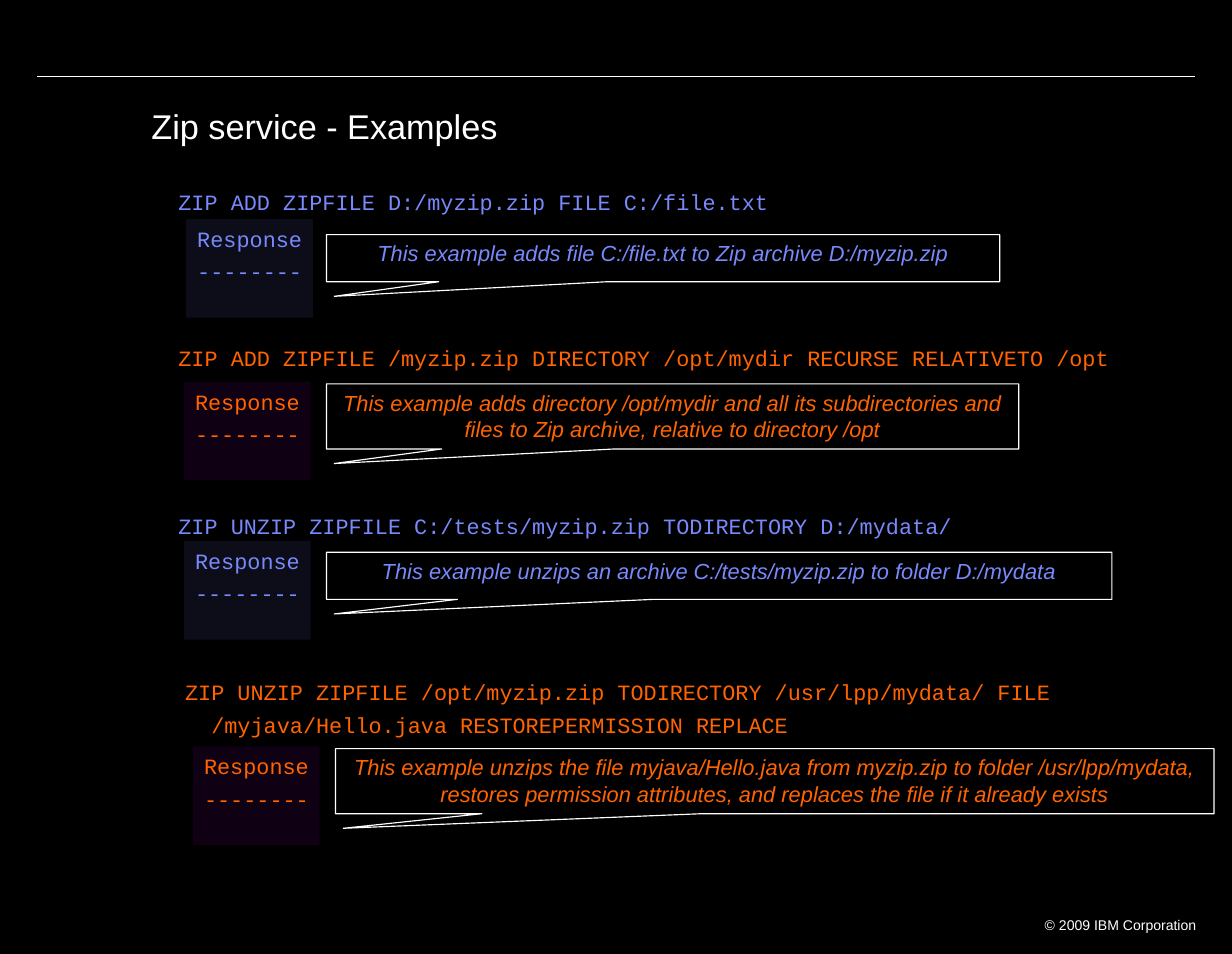
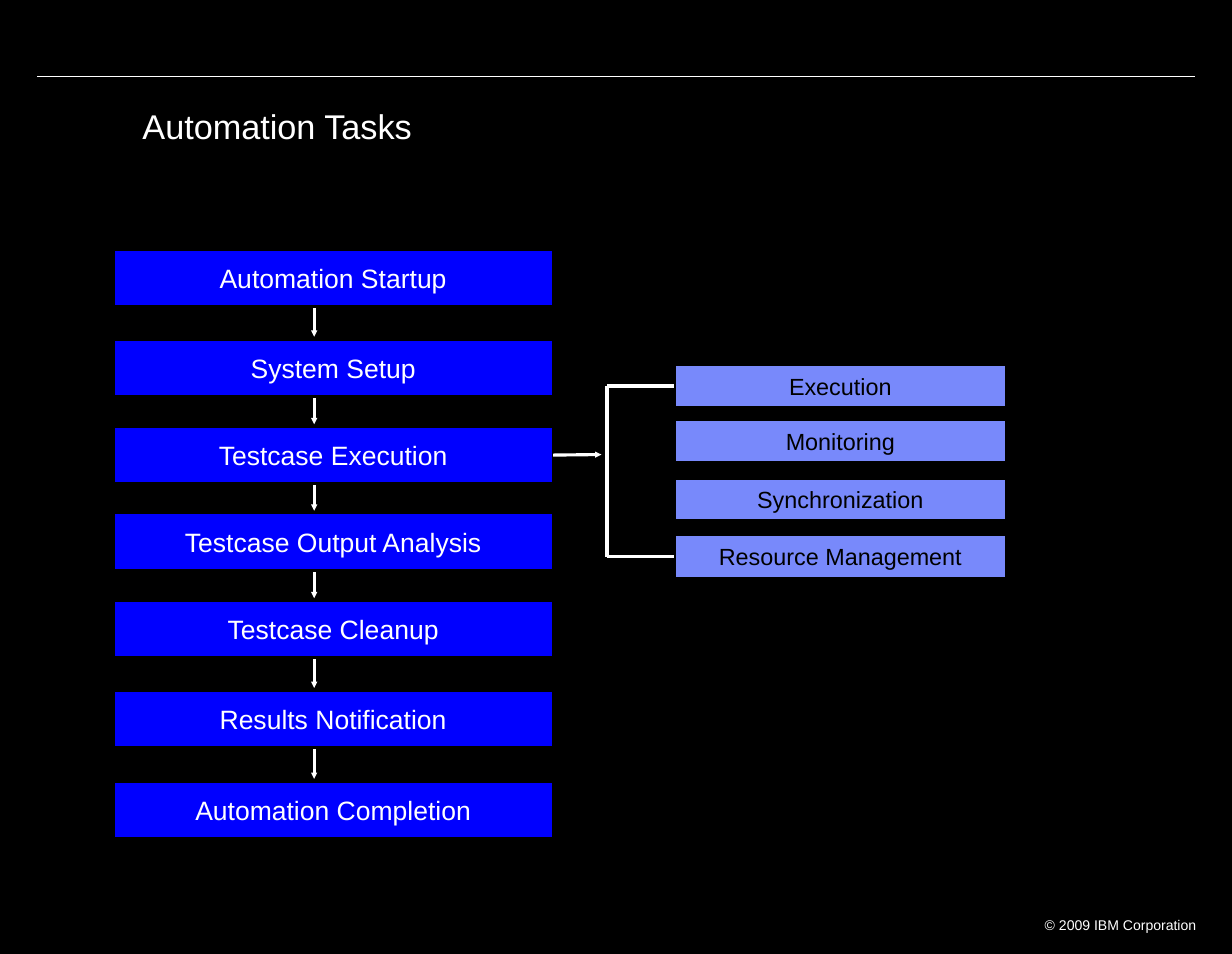
from lxml import etree
from pptx import Presentation
from pptx.dml.color import RGBColor
from pptx.enum.shapes import MSO_CONNECTOR, MSO_SHAPE
from pptx.enum.text import MSO_ANCHOR, PP_ALIGN
from pptx.oxml.ns import qn
from pptx.util import Inches, Pt

LEFT, CENTER, RIGHT = PP_ALIGN.LEFT, PP_ALIGN.CENTER, PP_ALIGN.RIGHT
TOP, MIDDLE = MSO_ANCHOR.TOP, MSO_ANCHOR.MIDDLE
RECT, CALLOUT = MSO_SHAPE.RECTANGLE, MSO_SHAPE.RECTANGULAR_CALLOUT
STRAIGHT = MSO_CONNECTOR.STRAIGHT
SIDE_LEFT, SIDE_RIGHT = 1, 3

BLACK, WHITE = "000000", "FFFFFF"
BLUE, PERIWINKLE = "0000FF", "7889FB"
ORANGE, PURPLE = "FF6400", "9900CC"
SANS, MONO = "Arial", "Courier New"
TITLE_ONLY = 5


def rgb(value):
    return RGBColor.from_string(value)


class Deck:
    """Holds the shared style and the slide being built."""

    def __init__(self, prs):
        self.prs = prs
        self.s = None
        fill = prs.slide_master.background.fill
        fill.solid()
        fill.fore_color.rgb = rgb(BLACK)

    def slide(self, title, left):
        """Start a slide with its title, top rule and footer."""
        self.s = self.prs.slides.add_slide(self.prs.slide_layouts[TITLE_ONLY])
        self.line(0.33, 0.68, 10.65, 0.68, 0.75)
        self.text(9.12, 8.11, 1.65, 0.23, "© 2009 IBM Corporation", 9, WHITE,
                  align=RIGHT, inset=(0.11, 0.06))
        sp = self.s.shapes.title
        self.place(sp, left, 0.92, 9.9, 0.62)
        self.set_text(sp, title, 22, WHITE, inset=(0.11, 0.06))
        sp.text_frame.paragraphs[0].line_spacing = 0.9

    def place(self, sp, left, top, width, height):
        sp.left, sp.top = Inches(left), Inches(top)
        sp.width, sp.height = Inches(width), Inches(height)

    def set_text(self, sp, text, size, color, font=SANS, align=LEFT,
                 anchor=TOP, inset=(0, 0), after=0, italic=False, wrap=True):
        tf = sp.text_frame
        tf.text = text
        tf.word_wrap = wrap
        tf.vertical_anchor = anchor
        tf.margin_left = tf.margin_right = Inches(inset[0])
        tf.margin_top = tf.margin_bottom = Inches(inset[1])
        for p in tf.paragraphs:
            p.alignment = align
            p.space_before, p.space_after = Pt(0), Pt(after)
            for r in p.runs:
                r.font.name, r.font.size = font, Pt(size)
                r.font.italic = italic
                r.font.color.rgb = rgb(color)

    def text(self, left, top, width, height, text, size, color, **style):
        sp = self.s.shapes.add_textbox(Inches(left), Inches(top),
                                       Inches(width), Inches(height))
        self.set_text(sp, text, size, color, **style)

    def shape(self, kind, left, top, width, height, fill, line=None,
              line_width=2, alpha=None):
        sp = self.s.shapes.add_shape(kind, Inches(left), Inches(top),
                                     Inches(width), Inches(height))
        sp.shadow.inherit = False
        sp.fill.solid()
        sp.fill.fore_color.rgb = rgb(fill)
        if alpha is not None:
            clr = sp._element.spPr.find(".//" + qn("a:srgbClr"))
            etree.SubElement(clr, qn("a:alpha"), val=str(alpha * 1000))
        if line:
            sp.line.color.rgb = rgb(line)
            sp.line.width = Pt(line_width)
        else:
            sp.line.fill.background()
        return sp

    def line(self, x1, y1, x2, y2, width=2, arrow=False):
        c = self.s.shapes.add_connector(STRAIGHT, Inches(x1), Inches(y1),
                                        Inches(x2), Inches(y2))
        c.line.color.rgb = rgb(WHITE)
        c.line.width = Pt(width)
        if arrow:
            ln = c._element.spPr.find(qn("a:ln"))
            etree.SubElement(ln, qn("a:tailEnd"),
                             type="triangle", w="sm", len="sm")
        etree.SubElement(c._element.spPr, qn("a:effectLst"))
        return c

    def command(self, left, top, lines, color):
        self.text(left, top, 9.2, 0.26 * len(lines), "\n".join(lines), 14,
                  color, font=MONO, after=4)

    def response(self, left, top, color, tint):
        sp = self.shape(RECT, left, top, 1.13, 0.88, tint, alpha=10)
        self.set_text(sp, "Response\n--------", 14, color, font=MONO,
                      inset=(0.1, 0.06), after=4, wrap=False)

    def callout(self, left, top, width, height, text, color):
        sp = self.shape(CALLOUT, left, top, width, height, BLACK, WHITE, 0.75)
        # The tip sits just below the lower left corner
        sp.adjustments[0] = -0.5 + 0.07 / width
        sp.adjustments[1] = 0.5 + 0.13 / height
        self.set_text(sp, text, 14, color, align=CENTER, inset=(0.1, 0.05),
                      italic=True)

    def task(self, left, top, width, height, text, size, color, fill):
        sp = self.shape(RECT, left, top, width, height, fill, BLACK)
        self.set_text(sp, text, size, color, align=CENTER, anchor=MIDDLE)
        return sp


def zip_examples(deck):
    deck.slide("Zip service - Examples", 1.24)
    # Command place and lines, response place, callout box and text
    examples = [
        ((1.59, 1.68), ["ZIP ADD ZIPFILE D:/myzip.zip FILE C:/file.txt"],
         (1.66, 1.95), (2.91, 2.09, 6, 0.42),
         "This example adds file C:/file.txt to Zip archive D:/myzip.zip"),
        ((1.59, 3.07), ["ZIP ADD ZIPFILE /myzip.zip DIRECTORY /opt/mydir "
                        "RECURSE RELATIVETO /opt"],
         (1.64, 3.4), (2.91, 3.42, 6.17, 0.58),
         "This example adds directory /opt/mydir and all its subdirectories "
         "and files to Zip archive, relative to directory /opt"),
        ((1.59, 4.57), ["ZIP UNZIP ZIPFILE C:/tests/myzip.zip "
                        "TODIRECTORY D:/mydata/"],
         (1.64, 4.82), (2.91, 4.92, 7, 0.42),
         "This example unzips an archive C:/tests/myzip.zip to folder "
         "D:/mydata"),
        ((1.65, 6.05), ["ZIP UNZIP ZIPFILE /opt/myzip.zip TODIRECTORY "
                        "/usr/lpp/mydata/ FILE",
                        "  /myjava/Hello.java RESTOREPERMISSION REPLACE"],
         (1.72, 6.65), (2.99, 6.67, 7.83, 0.58),
         "This example unzips the file myjava/Hello.java from myzip.zip to "
         "folder /usr/lpp/mydata, restores permission attributes, and "
         "replaces the file if it already exists"),
    ]
    for i, (command, lines, response, box, text) in enumerate(examples):
        color, tint = [(PERIWINKLE, PERIWINKLE), (ORANGE, PURPLE)][i % 2]
        deck.command(*command, lines, color)
        deck.response(*response, color, tint)
        deck.callout(*box, text, color)


def automation_tasks(deck):
    deck.slide("Automation Tasks", 1.16)
    # Main flow, with an arrow from each task to the next
    flow = [("Automation Startup", 2.22), ("System Setup", 3.02),
            ("Testcase Execution", 3.8), ("Testcase Output Analysis", 4.57),
            ("Testcase Cleanup", 5.35), ("Results Notification", 6.15),
            ("Automation Completion", 6.96)]
    height = 0.51
    for (_, top), (_, next_top) in zip(flow, flow[1:]):
        deck.line(2.8, top + height, 2.8, next_top - 0.02, arrow=True)
    tasks = {name: deck.task(1.01, top, 3.92, height, name, 17, WHITE, BLUE)
             for name, top in flow}

    # Parts of the testcase execution
    parts = [("Execution", 3.25, 0.38), ("Monitoring", 3.74, 0.38),
             ("Synchronization", 4.26, 0.38),
             ("Resource Management", 4.76, 0.4)]
    boxes = [deck.task(6.01, top, 2.96, h, name, 15, BLACK, PERIWINKLE)
             for name, top, h in parts]

    # Bracket around the parts
    spine, first, last = 5.41, 3.44, 4.96
    deck.line(4.93, 4.05, 5.36, 4.05, arrow=True).begin_connect(
        tasks["Testcase Execution"], SIDE_RIGHT)
    deck.line(spine, first, spine, last)
    for y, box in ((first, boxes[0]), (last, boxes[-1])):
        deck.line(spine, y, 6.01, y).end_connect(box, SIDE_LEFT)


def main():
    prs = Presentation()
    prs.slide_width, prs.slide_height = Inches(10.98), Inches(8.5)
    deck = Deck(prs)
    zip_examples(deck)
    automation_tasks(deck)
    prs.save("out.pptx")


if __name__ == "__main__":
    main()
